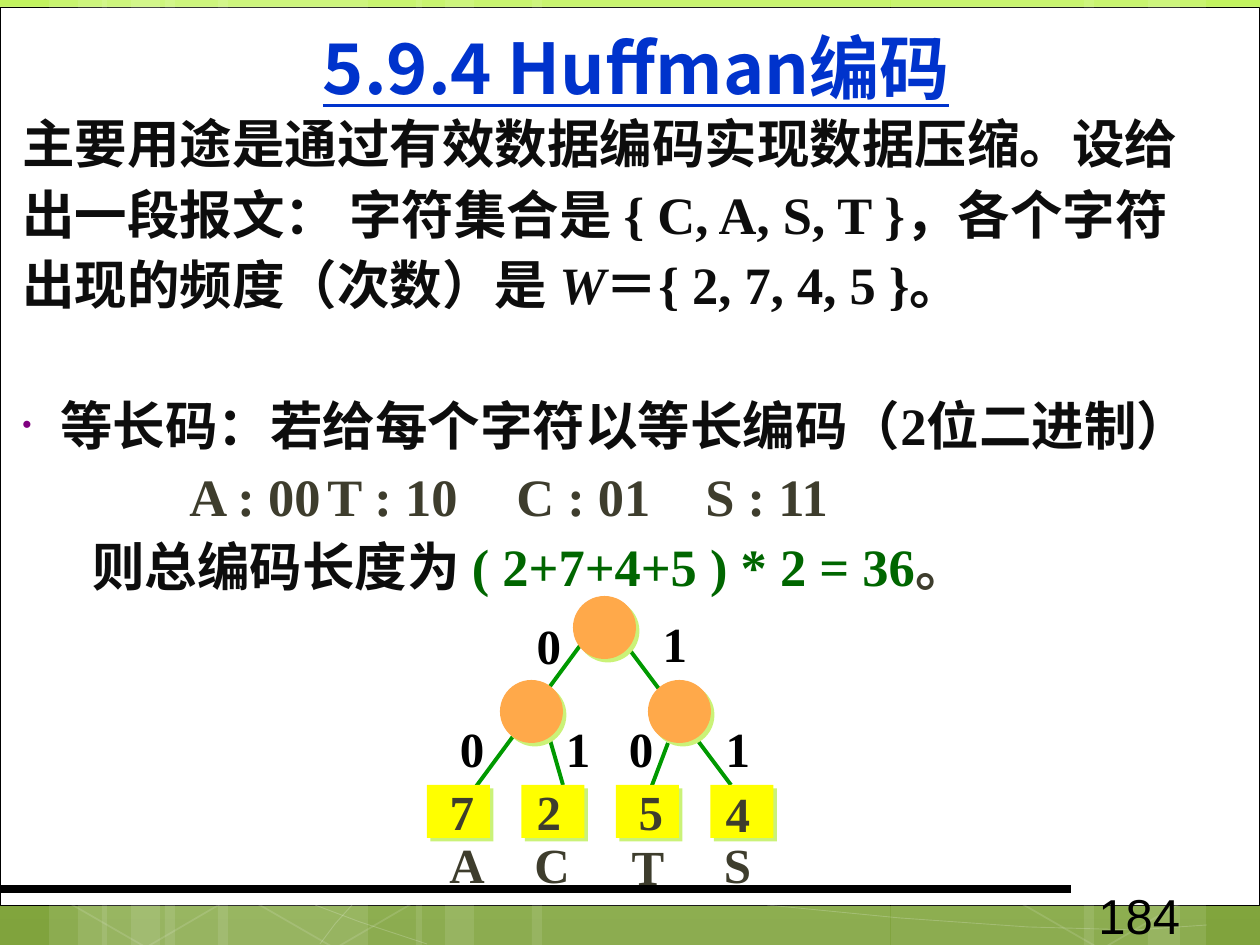
from copy import deepcopy
from dataclasses import dataclass

from lxml.etree import SubElement
from pptx import Presentation
from pptx.dml.color import RGBColor
from pptx.enum.shapes import MSO_CONNECTOR as Connector, MSO_SHAPE as Preset
from pptx.enum.text import MSO_ANCHOR as Anchor, PP_ALIGN as Align
from pptx.oxml.ns import qn
from pptx.util import Pt

EMU_PER_PX = 914400 / 126
WHITE = RGBColor(0xFF, 0xFF, 0xFF)
BLACK = RGBColor(0, 0, 0)
TITLE_BLUE = RGBColor(0x00, 0x33, 0xCC)
INK = RGBColor(0x0D, 0x0D, 0x0D)
OLIVE = RGBColor(0x3E, 0x3D, 0x2D)
FORMULA_GREEN = RGBColor(0x00, 0x66, 0x00)
EDGE_GREEN = RGBColor(0x00, 0x99, 0x00)
NODE_ORANGE = RGBColor(0xFF, 0xA9, 0x4A)
LEAF_YELLOW = RGBColor(0xFF, 0xFF, 0x00)
BACKDROP = [(0, RGBColor(0xC2, 0xF3, 0x5F)), (0.62, RGBColor(0x92, 0xBE, 0x3F)),
            (1, RGBColor(0x80, 0xA3, 0x3D))]
SHADOW_HEX, BULLET_HEX = "CAF278", "800080"
SERIF, SANS, CJK = "Times New Roman", "Arial", "Noto Sans CJK JP"
LINE_PITCH = Pt(40.3)


@dataclass
class Span:
    text: str
    color: RGBColor = INK
    italic: bool = False


@dataclass
class Line:
    spans: list
    left: int = 48
    indent: int = -38
    bullet: bool = False
    tabs: tuple = ()
    gap: int = 0


@dataclass
class Label:
    text: str
    left: int
    top: int
    color: RGBColor = OLIVE
    width: int = 50


BODY = [
    Line([Span("主要用途是通过有效数据编码实现数据压缩。设给")]),
    Line([Span("出一段报文： 字符集合是 { C, A, S, T }，各个字符")]),
    Line([Span("出现的频度（次数）是 "), Span("W", italic=True), Span("＝{ 2, 7, 4, 5 }。")]),
    Line([Span("等长码：若给每个字符以等长编码（2位二进制）")], bullet=True, gap=LINE_PITCH),
    Line([Span("A : 00\tT : 10\tC : 01\tS : 11", OLIVE)], left=0, indent=177,
         tabs=(349, 532, 718)),
    Line([Span("则总编码长度为 "), Span("( 2+7+4+5 ) * 2 = 36", FORMULA_GREEN),
          Span("。", OLIVE)], left=80, indent=0),
]
# Left edge and width of each full-height band
BANDS = [(165, 203), (49, 58), (78, 97), (218, 204), (102, 58), (131, 97), (891, 203),
         (1148, 58), (1084, 96), (532, 358), (416, 58), (445, 97)]
ARCS = [[(315, 905), (360, 922), (427, 944)],
        [(767, 905), (900, 918), (1028, 927), (1135, 930), (1207, 925)],
        [(320, 944), (335, 924), (352, 905)]]
HEXAGONS = [(52, 745), (241, 746), (1007, 747)]
EDGES = [(668, 743, 648, 796), (605, 617, 731, 785), (542, 712, 563, 785),
         (585, 639, 469, 796)]
NODES = [(573, 596), (500, 680), (648, 680)]
LEAF_LEFT, LEAF_STEP, LEAF_TOP = 427, 94.5, 785
LABELS = [
    Label("7", 437, 775), Label("2", 524, 775), Label("5", 626, 775), Label("4", 713, 777),
    Label("0", 524, 609, BLACK), Label("1", 650, 607, BLACK),
    Label("0", 447, 712, BLACK), Label("1", 553, 712, BLACK),
    Label("0", 616, 712, BLACK), Label("1", 713, 712, BLACK),
    Label("A", 437, 828, width=60), Label("C", 522, 828, width=60),
    Label("T", 619, 830, width=58), Label("S", 711, 828, width=53),
]


def px(*lengths: float) -> list:
    return [round(length * EMU_PER_PX) for length in lengths]


def set_alpha(shape, part: str, percent: int) -> None:
    parent = shape.element.spPr if part == "fill" else shape.element.spPr.find(qn("a:ln"))
    color = parent.find(qn("a:solidFill"))[0]
    SubElement(color, qn("a:alpha"), val=str(percent * 1000))


def add_block(page, preset, at: tuple, fill=None, line=None, width=0.5):
    block = page.shapes.add_shape(preset, *px(*at))
    block.shadow.inherit = False
    paint(block, fill, line, width)
    return block


def paint(shape, fill, line, width: float) -> None:
    if fill is None:
        shape.fill.background()
    else:
        shape.fill.solid()
        shape.fill.fore_color.rgb = fill
    if line is None:
        shape.line.fill.background()
    else:
        shape.line.color.rgb = line
        shape.line.width = Pt(width)


def add_tree_block(page, preset, at: tuple, fill: RGBColor) -> None:
    block = add_block(page, preset, at, fill)
    effects = block.element.spPr.find(qn("a:effectLst"))
    shadow = SubElement(effects, qn("a:outerShdw"), dist="35560", dir="2700000",
                        algn="ctr", rotWithShape="0")
    SubElement(shadow, qn("a:srgbClr"), val=SHADOW_HEX)


def add_line(page, ends: tuple, color: RGBColor, width: float) -> None:
    line = page.shapes.add_connector(Connector.STRAIGHT, *px(*ends))
    line.line.color.rgb = color
    line.line.width = Pt(width)
    SubElement(line.element.spPr, qn("a:effectLst"))


def add_box(page, at: tuple, **frame_format):
    frame = page.shapes.add_textbox(*px(*at)).text_frame
    for name, value in frame_format.items():
        setattr(frame, name, value)
    return frame


def add_span(para, text: str, color: RGBColor, **font_format) -> None:
    span = para.add_run()
    span.text = text
    for name, value in font_format.items():
        setattr(span.font, name, value)
    span.font.color.rgb = color
    SubElement(span.font._element, qn("a:ea"), typeface=CJK)


def write_line(para, line: Line) -> None:
    props = para._p.get_or_add_pPr()
    left, indent = px(line.left, line.indent)
    props.set("marL", str(left))
    props.set("indent", str(indent))
    if line.bullet:
        SubElement(SubElement(props, qn("a:buClr")), qn("a:srgbClr"), val=BULLET_HEX)
        SubElement(props, qn("a:buSzPct"), val="50000")
        SubElement(props, qn("a:buFont"), typeface=SANS)
        SubElement(props, qn("a:buChar"), char="•")
    else:
        SubElement(props, qn("a:buNone"))
    if line.tabs:
        stops = SubElement(props, qn("a:tabLst"))
        for stop in px(*line.tabs):
            SubElement(stops, qn("a:tab"), pos=str(stop), algn="l")
    para.line_spacing = LINE_PITCH
    if line.gap:
        para.space_before = line.gap
    for span in line.spans:
        add_span(para, span.text, span.color, name=SERIF, size=Pt(30), bold=True,
                 italic=span.italic)


def draw_backdrop(page) -> None:
    fill = page.background.fill
    fill.gradient()
    fill.gradient_angle = 270
    first = next(page.element.iter(qn("a:gs")))
    first.addnext(deepcopy(first))
    for stop, (position, color) in zip(fill.gradient_stops, BACKDROP):
        stop.position = position
        stop.color.rgb = color
    add_block(page, Preset.RECTANGLE, (0, 7, 1260, 898), WHITE, BLACK)
    for left, width in BANDS:
        set_alpha(add_block(page, Preset.RECTANGLE, (left, 0, width, 945), WHITE), "fill", 10)
    for start, *points in ARCS:
        builder = page.shapes.build_freeform(*start, scale=EMU_PER_PX)
        builder.add_line_segments(points, close=False)
        arc = builder.convert_to_shape()
        arc.shadow.inherit = False
        paint(arc, None, WHITE, 0.5)
        set_alpha(arc, "line", 20)
    for left, top in HEXAGONS:
        hexagon = add_block(page, Preset.HEXAGON, (left, top, 203, 192), None, WHITE, 1)
        hexagon.adjustments[0] = 0.285
        hexagon.rotation = 30
        set_alpha(hexagon, "line", 12)
    add_line(page, (0, 889, 1071, 889), BLACK, 4.5)


def draw_text(page) -> None:
    title = add_box(page, (69, 0, 1134, 134), word_wrap=False, vertical_anchor=Anchor.MIDDLE,
                    margin_left=0, margin_right=0, margin_top=0, margin_bottom=0)
    title.paragraphs[0].alignment = Align.CENTER
    add_span(title.paragraphs[0], "5.9.4 Huffman编码", TITLE_BLUE, name=CJK, size=Pt(40),
             bold=True, underline=True)
    body = add_box(page, (0, 101, 1235, 779), word_wrap=True, margin_top=px(3)[0])
    for index, line in enumerate(BODY):
        write_line(body.add_paragraph() if index else body.paragraphs[0], line)
    number = add_box(page, (1086, 879, 184, 50), word_wrap=True)
    add_span(number.paragraphs[0], "184", BLACK, name=SANS, size=Pt(28))


def draw_tree(page) -> None:
    for ends in EDGES:
        add_line(page, ends, EDGE_GREEN, 2.25)
    for left, top in NODES:
        add_tree_block(page, Preset.OVAL, (left, top, 63, 63), NODE_ORANGE)
    for index in range(4):
        left = LEAF_LEFT + index * LEAF_STEP
        add_tree_block(page, Preset.RECTANGLE, (left, LEAF_TOP, 63, 53), LEAF_YELLOW)
    for label in LABELS:
        frame = add_box(page, (label.left, label.top, label.width, 72), word_wrap=False,
                        vertical_anchor=Anchor.MIDDLE)
        frame.paragraphs[0].alignment = Align.CENTER
        add_span(frame.paragraphs[0], label.text, label.color, name=SERIF, size=Pt(28),
                 bold=True)


def main() -> None:
    deck = Presentation()
    deck.slide_width, deck.slide_height = px(1260, 945)
    page = deck.slides.add_slide(deck.slide_layouts[6])
    draw_backdrop(page)
    draw_text(page)
    draw_tree(page)
    deck.save("out.pptx")


if __name__ == "__main__":
    main()
